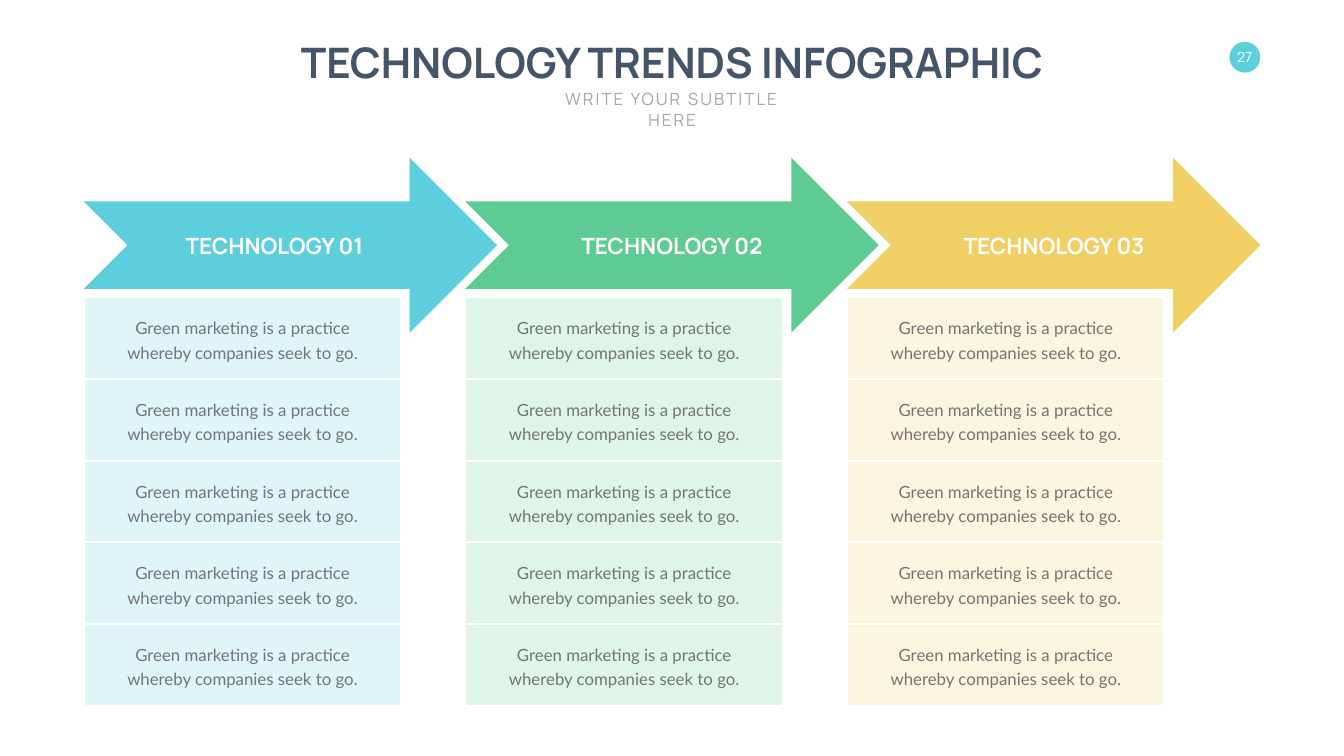
import pptx
import pptx.util
import pptx.dml.color
import pptx.enum.shapes
import pptx.enum.text

Cm = pptx.util.Cm
Pt = pptx.util.Pt
Kind = pptx.enum.shapes.MSO_SHAPE
Anchor = pptx.enum.text.MSO_ANCHOR


def tint(fill, shade):
    fill.solid()
    fill.fore_color.rgb = pptx.dml.color.RGBColor.from_string(shade)


def write(box, words, size, shade, face="Manrope", bold=False, wrap=False, anchor=Anchor.MIDDLE):
    frame = box.text_frame
    frame.word_wrap = wrap
    frame.auto_size = pptx.enum.text.MSO_AUTO_SIZE.SHAPE_TO_FIT_TEXT
    frame.vertical_anchor = anchor
    line = frame.paragraphs[0]
    line.alignment = pptx.enum.text.PP_ALIGN.CENTER
    run = line.add_run()
    run.text = words
    run.font.size = Pt(size)
    run.font.name = face
    run.font.bold = bold
    tint(run.font.fill, shade)
    return line


deck = pptx.Presentation()
deck.slide_width = Cm(67.72)
deck.slide_height = Cm(38.1)
slide = deck.slides.add_slide(deck.slide_layouts[5])
shapes = slide.shapes

title = shapes.title
title.left, title.top, title.width, title.height = Cm(14.25), Cm(1.7), Cm(39.22), Cm(2.82)
write(title, "TECHNOLOGY TRENDS INFOGRAPHIC", 60, "445469", bold=True, anchor=Anchor.TOP)

sub = shapes.add_textbox(Cm(26.97), Cm(4.37), Cm(13.79), Cm(1.27))
line = write(sub, "WRITE YOUR SUBTITLE HERE", 24, "A6A6A6", wrap=True, anchor=Anchor.TOP)
line.runs[0].font._element.set("spc", "300")

badge = shapes.add_shape(Kind.OVAL, Cm(61.95), Cm(2.11), Cm(1.55), Cm(1.55))
badge.shadow.inherit = False
badge.line.fill.background()
tint(badge.fill, "5DCEDB")
page = shapes.add_textbox(Cm(62.2), Cm(2.46), Cm(1.04), Cm(0.86))
frame = page.text_frame
frame.margin_left = frame.margin_right = frame.margin_top = frame.margin_bottom = 0
write(page, "27", 20, "FFFFFF")

trends = [
    ("TECHNOLOGY 01", "5DCEDB", "DFF5F8", 8.97, 9.73),
    ("TECHNOLOGY 02", "5ECB95", "DFF5EA", 28.88, 9.96),
    ("TECHNOLOGY 03", "F0D065", "FCF6E0", 48.11, 10.01),
]
for col, (name, dark, light, start, width) in enumerate(trends):
    left = 4.22 + col * 19.23
    arrow = shapes.add_shape(Kind.NOTCHED_RIGHT_ARROW, Cm(left), Cm(7.95), Cm(20.83), Cm(8.81))
    arrow.shadow.inherit = False
    arrow.line.fill.background()
    tint(arrow.fill, dark)

    label = shapes.add_textbox(Cm(start), Cm(11.56), Cm(width), Cm(1.63))
    write(label, name, 32, "FFFFFF", bold=True)

    for row in range(5):
        top = 14.99 + row * 4.115
        cell = shapes.add_shape(Kind.RECTANGLE, Cm(left), Cm(top), Cm(16), Cm(4.11))
        cell.shadow.inherit = False
        tint(cell.fill, light)
        tint(cell.line.fill, "FFFFFF")
        cell.line.width = Pt(3)

        note = shapes.add_textbox(Cm(left + 0.99), Cm(top + 0.74), Cm(14.02), Cm(2.62))
        line = write(note, "Green marketing is a practice whereby companies seek to go.",
                     24, "737572", face="Lato", wrap=True)
        line.line_spacing = Pt(35)

deck.save("out.pptx")
